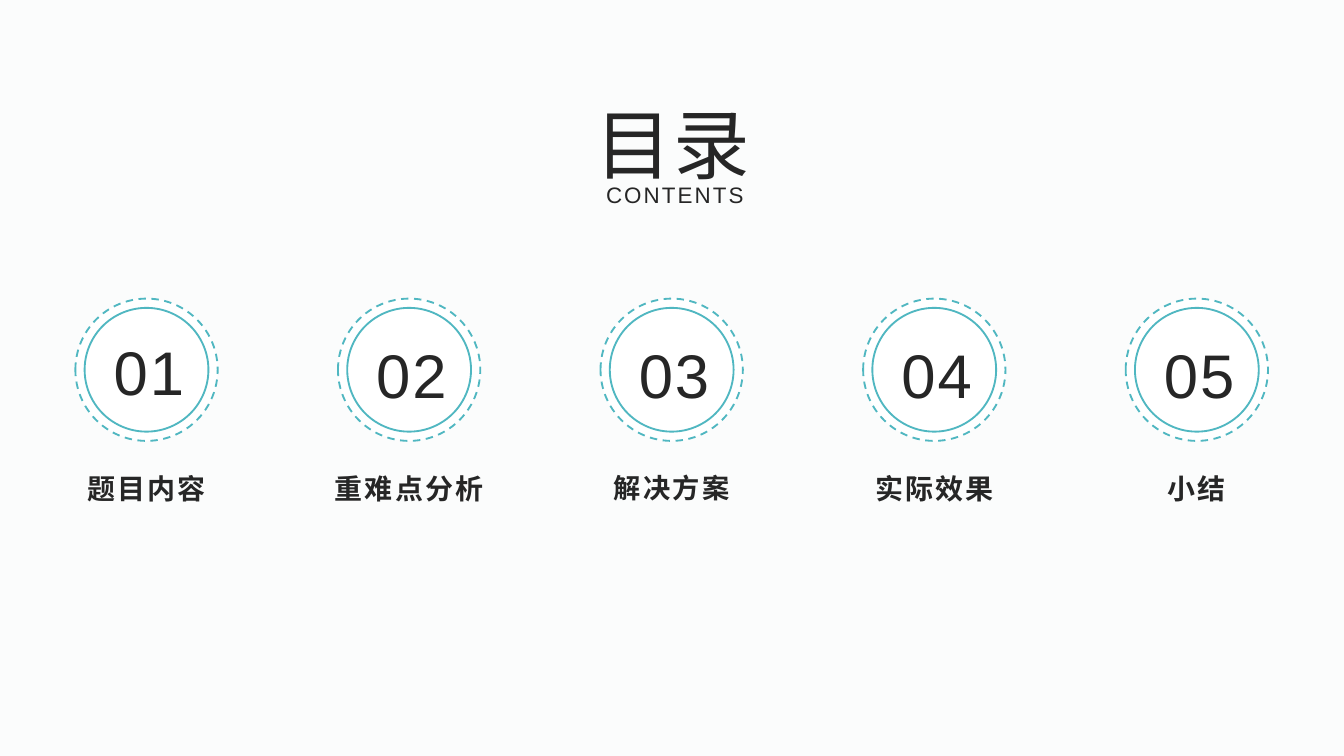
from dataclasses import dataclass

from lxml.etree import SubElement
from pptx import Presentation
from pptx.dml.color import RGBColor
from pptx.enum.dml import MSO_LINE_DASH_STYLE as Dash
from pptx.enum.shapes import MSO_SHAPE as Shape
from pptx.enum.text import PP_ALIGN as Align
from pptx.oxml.ns import qn
from pptx.util import Cm, Pt


@dataclass(frozen=True)
class Theme:
    background: RGBColor = RGBColor(0xFB, 0xFC, 0xFC)
    ink: RGBColor = RGBColor(0x26, 0x26, 0x26)
    accent: RGBColor = RGBColor(0x50, 0xB7, 0xC1)
    white: RGBColor = RGBColor(0xFF, 0xFF, 0xFF)
    latin: str = "Arial"
    chinese: str = "Noto Sans CJK SC"
    title_size: float = 41
    subtitle_size: float = 12
    number_size: float = 33
    label_size: float = 15
    tight_label_size: float = 14.6
    spacing: int = 110  # hundredths of a point


THEME = Theme()


def add_text(slide, wording, left, top, width, height, size, face, bold=False):
    box = slide.shapes.add_textbox(Cm(left), Cm(top), Cm(width), Cm(height))
    frame = box.text_frame
    frame.word_wrap = True
    frame.margin_left = frame.margin_right = Cm(0.18)
    frame.margin_top = frame.margin_bottom = Cm(0.1)
    paragraph = frame.paragraphs[0]
    paragraph.text = wording
    paragraph.alignment = Align.CENTER
    font = paragraph.font
    font.size, font.name, font.bold = Pt(size), face, bold
    font.color.rgb = THEME.ink
    # Letter spacing and the East Asian face
    defaults = paragraph._p.pPr.find(qn("a:defRPr"))
    defaults.set("spc", str(THEME.spacing))
    SubElement(defaults, qn("a:ea")).set("typeface", face)


def add_circle(slide, center_x, center_y, diameter, dash=None):
    circle = slide.shapes.add_shape(
        Shape.OVAL, Cm(center_x - diameter / 2), Cm(center_y - diameter / 2),
        Cm(diameter), Cm(diameter))
    circle.shadow.inherit = False
    circle.fill.solid()
    circle.fill.fore_color.rgb = THEME.white
    circle.line.color.rgb = THEME.accent
    circle.line.width = Pt(1)
    if dash:
        circle.line.dash_style = dash


def add_heading(slide, left, top, width):
    add_text(slide, "CONTENTS", left, top + 1.6, width, 0.71,
             THEME.subtitle_size, THEME.latin)
    add_text(slide, "目录", left, top, width - 0.08, 1.93,
             THEME.title_size, THEME.chinese)


def add_chapter(slide, left, top, width, number, label, label_size, number_top):
    center_x, center_y = left + width / 2, top + 1.35
    # Double ring
    add_circle(slide, center_x, center_y, 2.69, Dash.DASH)
    add_circle(slide, center_x, center_y, 2.34)
    # Number and label
    add_text(slide, number, center_x - 1.24, top + number_top, 2.57, 1.6,
             THEME.number_size, THEME.latin)
    add_text(slide, label, left, top + 3.17, width, 0.84,
             label_size, THEME.chinese, bold=True)


def add_chapters(slide, left, top, width):
    labels = ["题目内容", "重难点分析", "解决方案", "实际效果", "小结"]
    chapter_width = 4.52
    pitch = (width - chapter_width) / (len(labels) - 1)
    for index, label in enumerate(labels):
        label_size = THEME.tight_label_size if index == 2 else THEME.label_size
        number_top = 0.58 if index == 0 else 0.63
        add_chapter(slide, left + index * pitch, top, chapter_width,
                    f"{index + 1:02}", label, label_size, number_top)


def main():
    deck = Presentation()
    deck.slide_width, deck.slide_height = Cm(25.4), Cm(14.29)
    slide = deck.slides.add_slide(deck.slide_layouts[6])
    slide.background.fill.solid()
    slide.background.fill.fore_color.rgb = THEME.background
    add_heading(slide, left=10.7, top=1.73, width=4.11)
    add_chapters(slide, left=0.51, top=5.64, width=24.37)
    deck.save("out.pptx")


if __name__ == "__main__":
    main()
